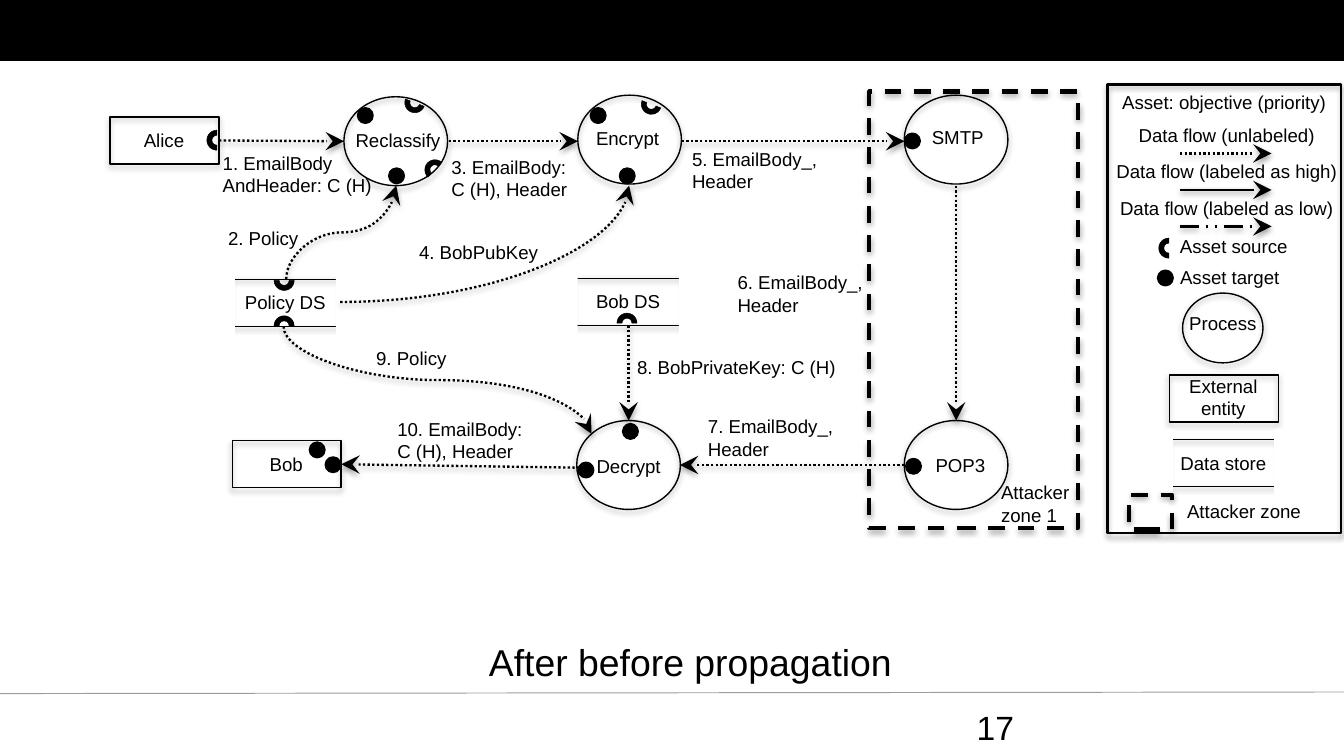
import dataclasses

import lxml.etree
import pptx
import pptx.dml.color
import pptx.enum.dml
import pptx.enum.shapes
import pptx.enum.text
import pptx.oxml.ns
import pptx.util

Cm = pptx.util.Cm
SHAPE = pptx.enum.shapes.MSO_SHAPE
CONNECTOR = pptx.enum.shapes.MSO_CONNECTOR
DASH = pptx.enum.dml.MSO_LINE
CENTER = pptx.enum.text.PP_ALIGN.CENTER
LEFT = pptx.enum.text.PP_ALIGN.LEFT


@dataclasses.dataclass(frozen=True)
class Theme:
    ink: str = "000000"
    paper: str = "FFFFFF"
    rule: str = "9C9C9C"
    font: str = "Arial"
    label: float = 10
    number: float = 18
    caption: float = 20
    hairline: float = 0.5
    outline: float = 0.75
    flow: float = 1.25
    zone: float = 2.25


@dataclasses.dataclass(frozen=True)
class Box:
    slide: object
    left: float
    top: float
    width: float
    height: float

    def point(self, x, y):
        return Cm(self.left + x), Cm(self.top + y)


THEME = Theme()
ENTITY = (2.06, 0.89)
PROCESS = (1.96, 1.68)


def color(value):
    return pptx.dml.color.RGBColor.from_string(value)


def child(parent, tag, **attributes):
    return lxml.etree.SubElement(parent, pptx.oxml.ns.qn(tag), attributes)


def soft_shadow(shape):
    properties = shape._element.spPr
    effects = properties.find(pptx.oxml.ns.qn("a:effectLst"))
    if effects is None:
        effects = child(properties, "a:effectLst")
    shadow = child(effects, "a:outerShdw", blurRad="39370", dist="20320",
                   dir="5400000", rotWithShape="0")
    child(child(shadow, "a:srgbClr", val=THEME.ink), "a:alpha", val="38000")


def add_figure(box, kind, x, y, size, fill=None, line=None, dash=None, shadow=False, turn=0):
    shape = box.slide.shapes.add_shape(kind, *box.point(x, y), Cm(size[0]), Cm(size[1]))
    shape.rotation = turn
    shape.shadow.inherit = False
    if fill:
        shape.fill.solid()
        shape.fill.fore_color.rgb = color(fill)
    else:
        shape.fill.background()
    if line:
        shape.line.color.rgb = color(THEME.ink)
        shape.line.width = pptx.util.Pt(line)
        shape.line.dash_style = dash
    else:
        shape.line.fill.background()
    if shadow:
        soft_shadow(shape)
    return shape


def add_label(box, text, x, y, width, height=0.8, align=LEFT, size=THEME.label, margin=0.25):
    frame = box.slide.shapes.add_textbox(*box.point(x, y), Cm(width), Cm(height)).text_frame
    frame.word_wrap = True
    frame.margin_left = frame.margin_right = Cm(margin)
    paragraph = frame.paragraphs[0]
    paragraph.text = text
    paragraph.alignment = align
    paragraph.font.name = THEME.font
    paragraph.font.size = pptx.util.Pt(size)
    paragraph.font.color.rgb = color(THEME.ink)


def add_line(box, start, end, line_color, width, kind=CONNECTOR.STRAIGHT):
    connector = box.slide.shapes.add_connector(kind, *box.point(*start), *box.point(*end))
    connector.line.color.rgb = color(line_color)
    connector.line.width = pptx.util.Pt(width)
    return connector


def add_flow(box, start, end, dash=DASH.ROUND_DOT, kind=CONNECTOR.STRAIGHT):
    connector = add_line(box, start, end, THEME.ink, THEME.flow, kind)
    connector.line.dash_style = dash
    child(connector.line._get_or_add_ln(), "a:tailEnd", type="stealth", w="lg", len="lg")
    soft_shadow(connector)
    return connector


def add_vertical_curve(box, start, end):
    middle_x, middle_y = (start[0] + end[0]) / 2, (start[1] + end[1]) / 2
    across, down = end[0] - start[0], end[1] - start[1]
    sign = -1 if down > 0 else 1
    half_x, half_y = sign * down / 2, -sign * across / 2
    connector = add_flow(box, (middle_x - half_x, middle_y - half_y),
                         (middle_x + half_x, middle_y + half_y), kind=CONNECTOR.CURVE)
    turn = 270 if down > 0 else 90
    connector._element.spPr.find(pptx.oxml.ns.qn("a:xfrm")).set("rot", str(turn * 60000))


def add_process(box, text, x, y, shift=0, drop=0.48, size=PROCESS):
    add_figure(box, SHAPE.OVAL, x, y, size, line=THEME.outline, shadow=True)
    add_label(box, text, x + size[0] / 2 - 1.22 + shift, y + drop, 2.44, align=CENTER)


def add_entity(box, text, x, y, drop=0.1):
    shape = add_figure(box, SHAPE.RECTANGLE, x, y, ENTITY, line=THEME.outline, shadow=True)
    add_label(box, text, x - 0.2, y + drop, 2.44, 1.14, CENTER)
    return shape


def add_store(box, text, x, y):
    shape = add_entity(box, text, x, y)
    for offset in (-0.36, 1.98):
        add_figure(box, SHAPE.RECTANGLE, x + offset, y - 0.2, (0.43, 1.32), fill=THEME.paper)
    return shape


def add_zone(box, x, y, size):
    add_figure(box, SHAPE.RECTANGLE, x, y, size, line=THEME.zone, dash=DASH.DASH, shadow=True)


def add_target(box, x, y):
    add_figure(box, SHAPE.OVAL, x, y, (0.25, 0.25), fill=THEME.ink, line=2)


def add_source(box, x, y, turn):
    add_figure(box, SHAPE.BLOCK_ARC, x, y, (0.38, 0.38), THEME.ink, 0.25, turn=turn)


def draw_frame(box):
    add_figure(box, SHAPE.RECTANGLE, 0, 0, (box.width, 1.17), fill=THEME.ink)
    for start, end, line_color in ((13.11, 13.08, THEME.rule), (1.17, 1.17, THEME.paper)):
        line = add_line(box, (0, start), (box.width, end), line_color, THEME.hairline)
        child(line._element.spPr, "a:effectLst")
    add_label(box, "After before propagation", 8.99, 11.96, 15.9, 1.27, size=THEME.caption)
    add_label(box, "17", 18.21, 13.23, 5.92, size=THEME.number)


def draw_diagram(box):
    add_zone(box, 14.35, 0, (3.94, box.height))
    add_label(box, "Attacker zone 1", 16.59, 7.24, 1.85, 1.7)
    for process in (("Reclassify", 4.42, 0.1, 0.04), ("Encrypt", 8.84, 0.07, -0.04),
                    ("SMTP", 15.01, 0.07, 0.03, 0.46), ("POP3", 15.01, 6.22, 0.08, 0.51),
                    ("Decrypt", 8.82, 6.22, 0, 0.53)):
        add_process(box, *process)
    alice = add_entity(box, "Alice", 0, 0.48)
    bob = add_entity(box, "Bob", 2.31, 6.6)
    add_store(box, "Policy DS", 2.29, 3.55)
    bob_store = add_store(box, "Bob DS", 8.77, 3.53)

    for target in ((4.7, 0.33), (5.29, 1.47), (9.1, 0.33), (9.65, 1.47), (15.04, 0.81),
                   (15.06, 6.96), (9.71, 6.3), (8.87, 7.03), (4.09, 6.93), (3.79, 6.65)):
        add_target(box, *target)
    for source in ((1.83, 0.73, 270), (5.57, 0.02, 201.2), (5.95, 1.29, 313),
                   (10.04, 0.05, 201.2), (3.1, 3.38, 180), (3.1, 4.24, 0), (9.58, 4.19, 0)):
        add_source(box, *source)

    add_flow(box, (2.06, 0.93), (4.42, 0.94)).begin_connect(alice, 3)
    add_flow(box, (9.8, 4.42), (9.8, 6.22)).begin_connect(bob_store, 2)
    add_flow(box, (8.87, 7.11), (4.37, 7.05)).end_connect(bob, 3)
    for start, end in (((6.4, 0.94), (8.84, 0.94)), ((10.8, 0.94), (15.01, 0.94)),
                       ((15.99, 1.78), (15.99, 6.22)), ((15.01, 7.06), (10.77, 7.06))):
        add_flow(box, start, end)
    add_vertical_curve(box, (3.33, 3.55), (5.41, 1.78))
    add_vertical_curve(box, (3.28, 4.44), (9.1, 6.47))
    key_flow = add_flow(box, (4.35, 3.98), (9.81, 1.78), kind=CONNECTOR.CURVE)
    geometry = key_flow._element.spPr.find(pptx.oxml.ns.qn("a:prstGeom"))
    geometry.set("prst", "curvedConnector2")

    for text, x, y, width in (
            ("1. EmailBody AndHeader: C (H)", 1.88, 1.01, 3.66),
            ("2. Policy", 1.98, 2.44, 2.9),
            ("3. EmailBody: C (H), Header", 6.2, 1.09, 2.9),
            ("4. BobPubKey", 5.59, 2.69, 2.9),
            ("5. EmailBody_, Header", 10.75, 0.94, 2.9),
            ("6. EmailBody_, Header", 11.61, 3.27, 2.9),
            ("7. EmailBody_, Header", 11.05, 5.99, 2.9),
            ("8. BobPrivateKey: C (H)", 9.71, 4.87, 4.32),
            ("9. Policy", 4.78, 4.7, 2.9),
            ("10. EmailBody: C (H), Header", 5.18, 6.04, 2.9)):
        add_label(box, text, x, y, width)


def draw_legend(box):
    add_figure(box, SHAPE.RECTANGLE, 0, 0, (box.width, box.height), line=THEME.flow, shadow=True)
    add_label(box, "Asset: objective (priority)", 0.03, 0, 4.42)
    flows = (("unlabeled", DASH.ROUND_DOT), ("labeled as high", DASH.SOLID),
             ("labeled as low", DASH.DASH_DOT_DOT))
    for index, (name, dash) in enumerate(flows):
        y = 0.61 + 0.69 * index
        add_label(box, f"Data flow ({name})", 0.05, y, 4.4, align=CENTER, margin=0)
        add_flow(box, (1.37, y + 0.69), (3.1, y + 0.69), dash)
    add_source(box, 0.97, 2.9, 270)
    add_label(box, "Asset source", 1.09, 2.72, 2.59, align=CENTER)
    add_target(box, 0.97, 3.53)
    add_label(box, "Asset target", 1.09, 3.3, 2.44, align=CENTER)
    add_process(box, "Process", 1.42, 3.94, drop=0.23, size=(1.52, 1.32))
    add_entity(box, "External entity", 1.17, 5.49, drop=-0.13)
    add_store(box, "Data store", 1.17, 6.71)
    add_zone(box, 0.41, 7.75, (0.81, 0.66))
    add_label(box, "Attacker zone", 1.22, 7.72, 2.72, align=CENTER)


def main():
    presentation = pptx.Presentation()
    presentation.slide_width, presentation.slide_height = Cm(25.4), Cm(14.29)
    slide = presentation.slides.add_slide(presentation.slide_layouts[6])
    draw_frame(Box(slide, 0, 0, 25.4, 14.29))
    draw_diagram(Box(slide, 2.08, 1.73, 18.29, 8.25))
    draw_legend(Box(slide, 20.93, 1.6, 4.42, 8.48))
    presentation.save("out.pptx")


if __name__ == "__main__":
    main()
